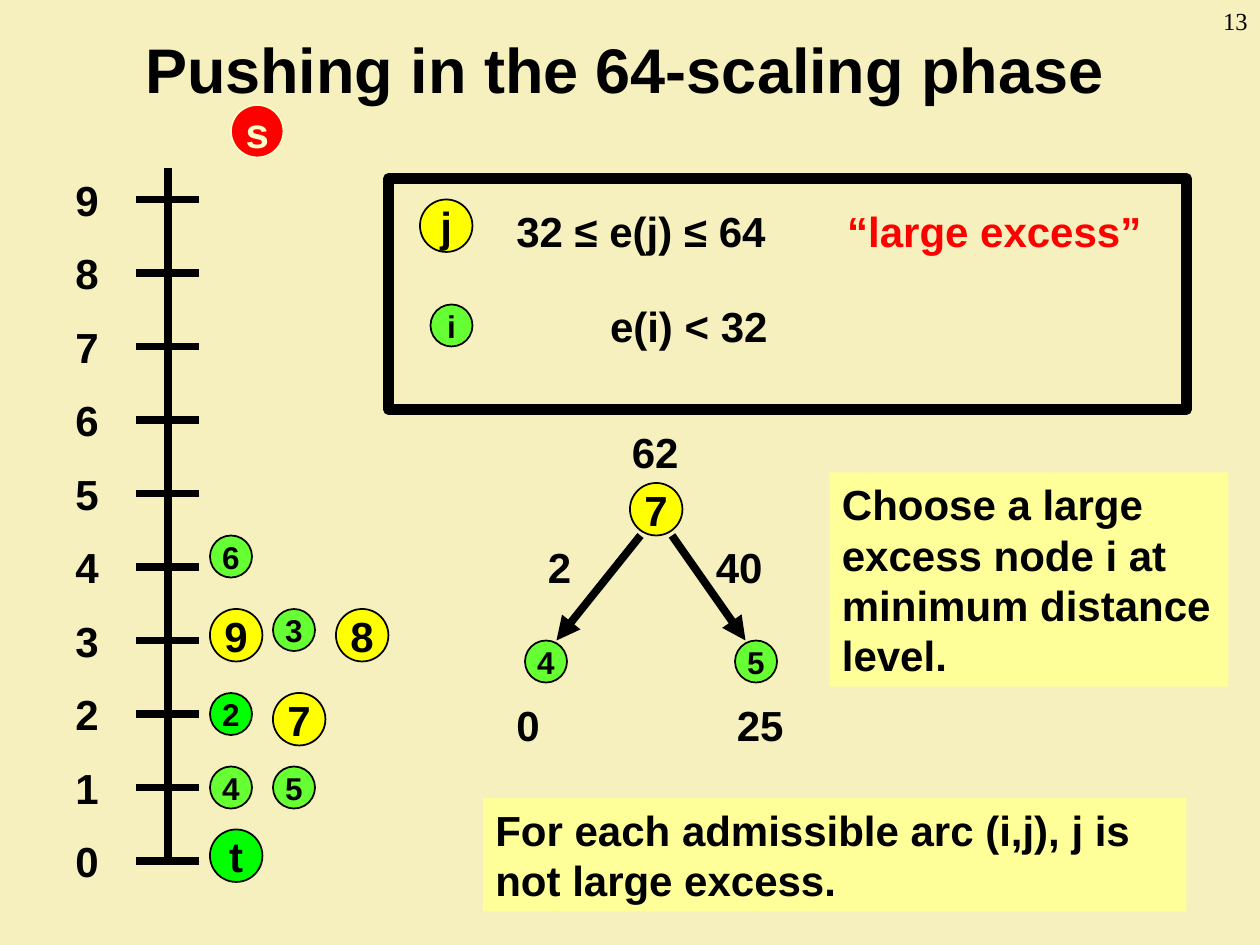
"""Build the slide "Pushing in the 64-scaling phase" and save it as out.pptx."""
from lxml import etree
from pptx import Presentation
from pptx.dml.color import RGBColor
from pptx.enum.shapes import MSO_CONNECTOR, MSO_SHAPE
from pptx.enum.text import MSO_ANCHOR, PP_ALIGN
from pptx.oxml.ns import qn
from pptx.util import Pt

PX = 7620
STRAIGHT = MSO_CONNECTOR.STRAIGHT
OVAL, RECTANGLE = MSO_SHAPE.OVAL, MSO_SHAPE.RECTANGLE
MIDDLE, TOP = MSO_ANCHOR.MIDDLE, MSO_ANCHOR.TOP
LEFT, CENTER, RIGHT = PP_ALIGN.LEFT, PP_ALIGN.CENTER, PP_ALIGN.RIGHT

CREAM = RGBColor(0xF5, 0xF0, 0xBD)
BLACK = RGBColor(0x00, 0x00, 0x00)
RED = RGBColor(0xFF, 0x00, 0x00)
IVORY = RGBColor(0xFF, 0xFF, 0xCC)
YELLOW = RGBColor(0xFF, 0xFF, 0x00)
PALE_YELLOW = RGBColor(0xFF, 0xFF, 0x99)
GREEN = RGBColor(0x00, 0xFF, 0x00)
LIME = RGBColor(0x66, 0xFF, 0x33)


def write(shape, text, size=24, color=BLACK, align=LEFT, anchor=TOP, wrap=True):
    frame = shape.text_frame
    frame.word_wrap = wrap
    frame.vertical_anchor = anchor
    frame.margin_left = frame.margin_right = 12 * PX
    frame.margin_top = frame.margin_bottom = 6 * PX
    frame.text = text
    paragraph = frame.paragraphs[0]
    paragraph.alignment = align
    font = paragraph.runs[0].font
    font.name, font.size, font.bold = "Arial", Pt(size), True
    font.color.rgb = color
    return frame


def draw_line(x1, y1, x2, y2, arrow=False):
    line = slide.shapes.add_connector(STRAIGHT, x1 * PX, y1 * PX, x2 * PX, y2 * PX)
    line.line.color.rgb = BLACK
    line.line.width = Pt(4.5)
    properties = line.element.spPr
    if arrow:
        etree.SubElement(properties.find(qn("a:ln")), qn("a:tailEnd"), type="triangle")
    etree.SubElement(properties, qn("a:effectLst"))


deck = Presentation()
deck.slide_width, deck.slide_height = 1200 * PX, 900 * PX
slide = deck.slides.add_slide(deck.slide_layouts[6])
slide.background.fill.solid()
slide.background.fill.fore_color.rgb = CREAM

title = slide.shapes.add_textbox(20 * PX, 40 * PX, 1150 * PX, 50 * PX)
write(title, "Pushing in the 64-scaling phase", 36, align=CENTER, anchor=MIDDLE)

draw_line(160, 160, 160, 820)
for level in range(10):
    tick_y = 820 - 70 * level
    draw_line(130, tick_y, 190, tick_y)
    level_label = slide.shapes.add_textbox(60 * PX, (tick_y - 30) * PX, 50 * PX, 60 * PX)
    write(level_label, str(level))

legend_frame = slide.shapes.add_shape(RECTANGLE, 370 * PX, 170 * PX, 760 * PX, 220 * PX)
legend_frame.shadow.inherit = False
legend_frame.fill.background()
legend_frame.line.color.rgb = BLACK
legend_frame.line.width = Pt(6)

large_rule = slide.shapes.add_textbox(480 * PX, 190 * PX, 630 * PX, 60 * PX)
large_text = write(large_rule, "32 ≤ e(j) ≤ 64\t").paragraphs[0]
tab_list = etree.SubElement(large_text._p.get_or_add_pPr(), qn("a:tabLst"))
etree.SubElement(tab_list, qn("a:tab"), pos=str(315 * PX), algn="l")
large_name = large_text.add_run()
large_name.text = "“large excess”"
large_name.font.name, large_name.font.size, large_name.font.bold = "Arial", Pt(24), True
large_name.font.color.rgb = RED

small_rule = slide.shapes.add_textbox(480 * PX, 280 * PX, 310 * PX, 60 * PX)
write(small_rule, "e(i) < 32").margin_left = 101 * PX

draw_line(610, 510, 530, 610, arrow=True)
draw_line(640, 510, 710, 610, arrow=True)

nodes = [
    ("s", 220, 100, 50, RED),
    ("t", 200, 790, 50, GREEN),
    ("4", 200, 730, 40, LIME),
    ("5", 260, 730, 40, LIME),
    ("2", 200, 660, 40, GREEN),
    ("7", 260, 660, 50, YELLOW),
    ("9", 200, 580, 50, YELLOW),
    ("3", 260, 580, 40, LIME),
    ("8", 320, 580, 50, YELLOW),
    ("6", 200, 510, 40, LIME),
    ("j", 400, 190, 50, YELLOW),
    ("i", 410, 290, 40, LIME),
    ("7", 600, 460, 50, YELLOW),
    ("4", 500, 610, 40, LIME),
    ("5", 700, 610, 40, LIME),
]
for name, x, y, diameter, color in nodes:
    node = slide.shapes.add_shape(OVAL, x * PX, y * PX, diameter * PX, diameter * PX)
    node.shadow.inherit = False
    node.fill.solid()
    node.fill.fore_color.rgb = color
    ink = IVORY if name == "s" else BLACK
    node.line.color.rgb = ink
    node.line.width = Pt(1)
    write(node, name, 24 if diameter == 50 else 18, ink, CENTER, MIDDLE, wrap=False)

arc_values = [("62", 590, 400), ("2", 510, 510), ("40", 670, 510), ("0", 480, 660), ("25", 690, 660)]
for value, x, y in arc_values:
    value_label = slide.shapes.add_textbox(x * PX, y * PX, 90 * PX, 60 * PX)
    write(value_label, value)

notes = [
    ("For each admissible arc (i,j), j is not large excess.", 460, 760, 670, 108),
    ("Choose a large excess node i at minimum distance level.", 790, 450, 380, 204),
]
for sentence, x, y, width, height in notes:
    note = slide.shapes.add_shape(RECTANGLE, x * PX, y * PX, width * PX, height * PX)
    note.shadow.inherit = False
    note.fill.solid()
    note.fill.fore_color.rgb = PALE_YELLOW
    note.line.fill.background()
    write(note, sentence)

page_number = slide.shapes.add_textbox(1100 * PX, 0, 100 * PX, 60 * PX)
page_font = write(page_number, "13", 14, align=RIGHT).paragraphs[0].runs[0].font
page_font.name, page_font.bold = "Times New Roman", False

deck.save("out.pptx")
